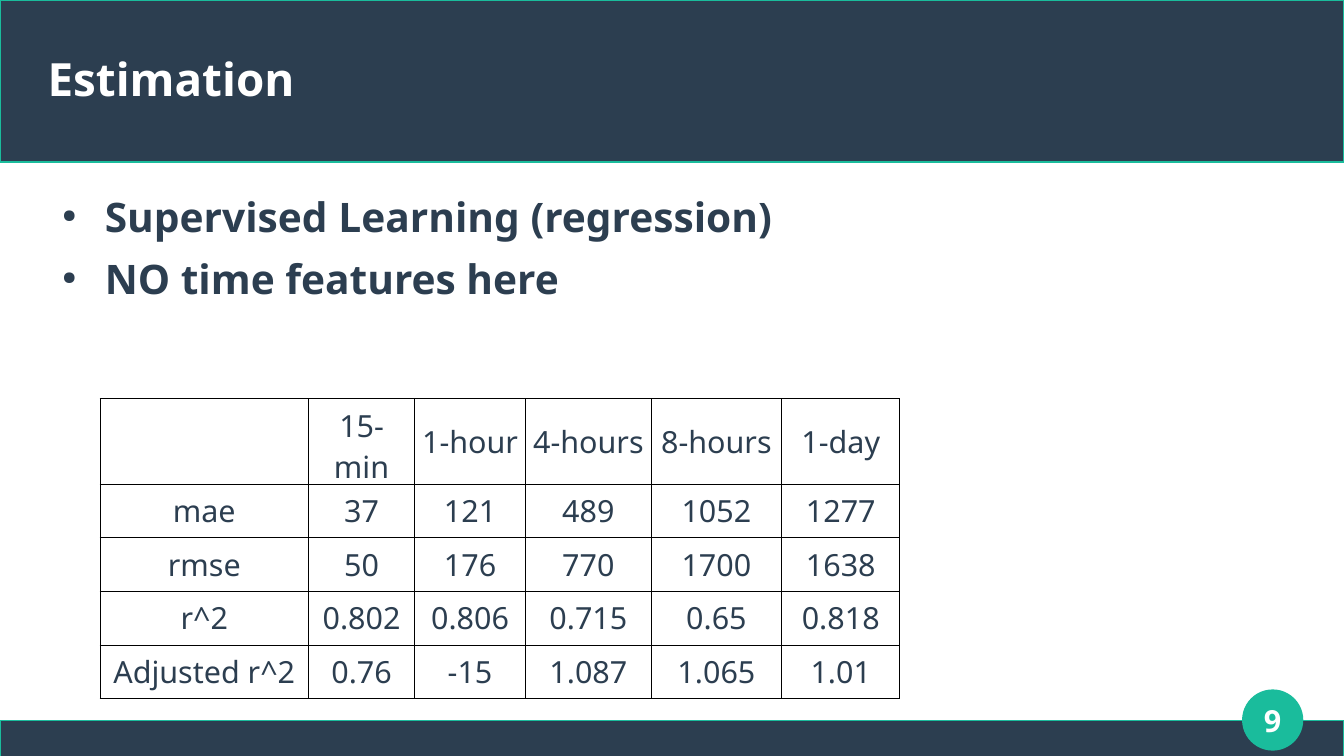
import pptx
import pptx.util
import pptx.dml.color
import pptx.enum.shapes
import pptx.enum.text
import pptx.oxml
import pptx.oxml.ns

Inches = pptx.util.Inches
Pt = pptx.util.Pt
MSO_SHAPE = pptx.enum.shapes.MSO_SHAPE
PP_ALIGN = pptx.enum.text.PP_ALIGN
MIDDLE = pptx.enum.text.MSO_ANCHOR.MIDDLE

FONT = "Noto Sans"
COLORS = {"navy": "2C3E50", "teal": "1ABC9C", "white": "FFFFFF", "black": "000000"}
BULLETS = ["Supervised Learning (regression)", "NO time features here"]
COL_WIDTHS = [1.71, 0.87, 0.91, 1.03, 1.07, 0.97]
ROW_HEIGHT = 0.44
SCORES = [
    ["", "15-min", "1-hour", "4-hours", "8-hours", "1-day"],
    ["mae", "37", "121", "489", "1052", "1277"],
    ["rmse", "50", "176", "770", "1700", "1638"],
    ["r^2", "0.802", "0.806", "0.715", "0.65", "0.818"],
    ["Adjusted r^2", "0.76", "-15", "1.087", "1.065", "1.01"],
]


def rgb(name):
    return pptx.dml.color.RGBColor.from_string(COLORS[name])


def xml(tag, attrs, inner=""):
    ns = pptx.oxml.ns.nsdecls("a")
    return pptx.oxml.parse_xml(f"<a:{tag} {ns} {attrs}>{inner}</a:{tag}>")


def solid(name):
    return f'<a:solidFill><a:srgbClr val="{COLORS[name]}"/></a:solidFill>'


def style(p, size, color, bold=False, align=None):
    p.alignment = align
    for r in p.runs:
        r.font.name = FONT
        r.font.size = Pt(size)
        r.font.bold = bold
        r.font.color.rgb = rgb(color)


def add_block(s, kind, x, y, w, h, fill):
    sp = s.shapes.add_shape(kind, Inches(x), Inches(y), Inches(w), Inches(h))
    sp.shadow.inherit = False
    sp.fill.solid()
    sp.fill.fore_color.rgb = rgb(fill)
    sp.line.color.rgb = rgb("teal")
    sp.line.width = Pt(0.85)


def add_text(s, x, y, w, h, lines, size, color, align=None, anchor=MIDDLE):
    box = s.shapes.add_textbox(Inches(x), Inches(y), Inches(w), Inches(h))
    tf = box.text_frame
    tf.word_wrap = True
    tf.vertical_anchor = anchor
    tf.margin_left = tf.margin_right = tf.margin_top = tf.margin_bottom = 0
    tf.text = "\n".join(lines)
    for p in tf.paragraphs:
        style(p, size, color, True, align)
    return tf


def add_bullets(tf):
    for p in tf.paragraphs:
        p.space_after = Pt(10.6)
        p.line_spacing = 0.9
        pPr = p._p.get_or_add_pPr()
        pPr.set("marL", str(Inches(0.47)))
        pPr.set("indent", str(Inches(-0.35)))
        pPr.append(xml("buClr", "", f'<a:srgbClr val="{COLORS["navy"]}"/>'))
        pPr.append(xml("buSzPct", 'val="45000"'))
        pPr.append(xml("buChar", 'char="●"'))


def format_cell(cell, text):
    cell.text = text
    cell.vertical_anchor = MIDDLE
    cell.margin_left = cell.margin_right = Inches(0.04)
    cell.margin_top = cell.margin_bottom = Inches(0.05)
    cell.fill.background()
    style(cell.text_frame.paragraphs[0], 18, "navy", align=PP_ALIGN.CENTER)
    # Borders come before the fill in the cell properties
    tcPr = cell._tc.get_or_add_tcPr()
    for i, side in enumerate(["lnL", "lnR", "lnT", "lnB"]):
        tcPr.insert(i, xml(side, f'w="{Pt(0.57)}"', solid("black")))


def add_scores(s, x, y):
    frame = s.shapes.add_table(
        len(SCORES), len(COL_WIDTHS), Inches(x), Inches(y),
        Inches(sum(COL_WIDTHS)), Inches(ROW_HEIGHT * len(SCORES)))
    table = frame.table
    table.first_row = table.horz_banding = False
    for col, width in zip(table.columns, COL_WIDTHS):
        col.width = Inches(width)
    for row, values in zip(table.rows, SCORES):
        row.height = Inches(ROW_HEIGHT)
        for cell, value in zip(row.cells, values):
            format_cell(cell, value)


def main():
    prs = pptx.Presentation()
    prs.slide_width, prs.slide_height = Inches(11.02), Inches(6.2)
    s = prs.slides.add_slide(prs.slide_layouts[6])

    # Footer and header bands, page badge
    add_block(s, MSO_SHAPE.RECTANGLE, 0, 5.91, 11.02, 0.3, "navy")
    add_block(s, MSO_SHAPE.RECTANGLE, 0, 0, 11.02, 1.33, "navy")
    add_block(s, MSO_SHAPE.OVAL, 10.19, 5.66, 0.49, 0.49, "teal")

    # Title and bullet points
    add_text(s, 0.39, 0.25, 10.24, 0.79, ["Estimation"], 27, "white")
    tf = add_text(s, 0.39, 1.62, 10.24, 4.13, BULLETS, 24, "navy",
                  anchor=pptx.enum.text.MSO_ANCHOR.TOP)
    add_bullets(tf)

    # Score table and page number
    add_scores(s, 0.82, 3.27)
    add_text(s, 10.04, 5.66, 0.79, 0.49, ["9"], 18, "white", PP_ALIGN.CENTER)

    prs.save("out.pptx")


if __name__ == "__main__":
    main()
